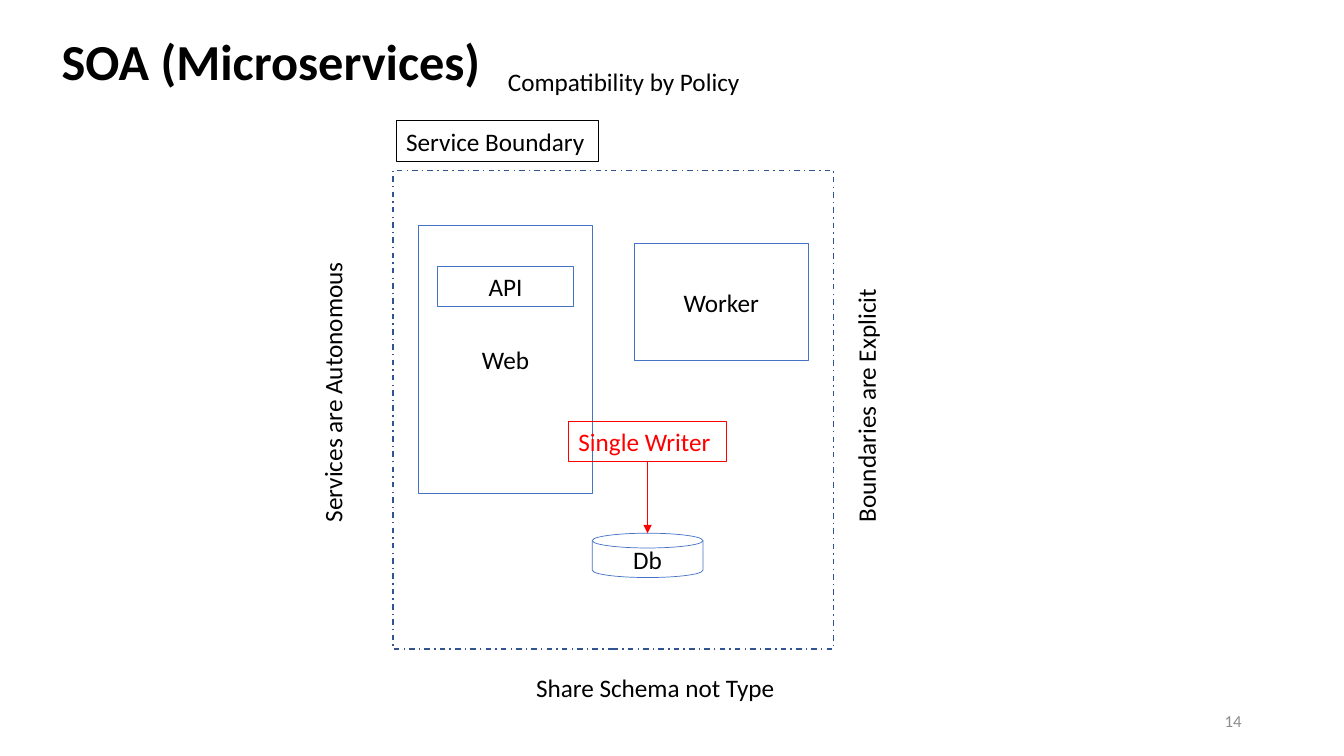
from lxml import etree
from pptx import Presentation
from pptx.dml.color import RGBColor
from pptx.enum import dml, shapes, text
from pptx.oxml.ns import qn
from pptx.util import Pt

BLACK, RED, BLUE, NAVY, GREY = "000000", "FF0000", "4472C4", "325491", "8C8C8C"
LABEL_HEIGHT = 29
LEFT, CENTER, RIGHT = text.PP_ALIGN.LEFT, text.PP_ALIGN.CENTER, text.PP_ALIGN.RIGHT
TOP, MIDDLE = text.MSO_ANCHOR.TOP, text.MSO_ANCHOR.MIDDLE
RECT = shapes.MSO_SHAPE.RECTANGLE


def color(hex_string):
    return RGBColor.from_string(hex_string)


def write(shape, wording, size=18, ink=BLACK, align=LEFT, anchor=TOP, bold=False):
    frame = shape.text_frame
    frame.text = wording
    frame.word_wrap = True
    frame.vertical_anchor = anchor
    paragraph = frame.paragraphs[0]
    paragraph.alignment = align
    font = paragraph.runs[0].font
    font.name, font.size, font.bold = "Calibri", Pt(size), bold
    font.color.rgb = color(ink)


def add_label(slide, left, top, width, wording, height=LABEL_HEIGHT, **style):
    label = slide.shapes.add_textbox(Pt(left), Pt(top), Pt(width), Pt(height))
    write(label, wording, **style)
    return label


def add_outline(slide, left, top, width, height, wording="", kind=RECT,
                line=BLUE, weight=0.5, **style):
    """Add an unfilled, outlined shape with optional text."""
    outline = slide.shapes.add_shape(kind, Pt(left), Pt(top), Pt(width), Pt(height))
    outline.shadow.inherit = False
    outline.fill.background()
    outline.line.color.rgb = color(line)
    outline.line.width = Pt(weight)
    if wording:
        write(outline, wording, **style)
    return outline


def add_arrow(slide, x, top, bottom):
    arrow = slide.shapes.add_connector(
        shapes.MSO_CONNECTOR.STRAIGHT, Pt(x), Pt(top), Pt(x), Pt(bottom))
    arrow.line.color.rgb = color(RED)
    arrow.line.width = Pt(0.5)
    etree.SubElement(arrow.line._get_or_add_ln(), qn("a:tailEnd"), type="triangle")
    etree.SubElement(arrow._element.spPr, qn("a:effectLst"))


def add_service(slide, left, top, width, height):
    """Draw the service boundary and the components inside it."""
    centered = {"align": CENTER, "anchor": MIDDLE}
    part_width = 124.6
    web_left, web_top = left + 18, top + 39.6
    writer_left, writer_top, writer_width = left + 125.3, top + 179.3, 113
    writer_center = writer_left + writer_width / 2
    db_top, db_width = top + 259.2, 79.2

    add_outline(slide, web_left, web_top, part_width, 191.5, "Web", **centered)
    add_outline(slide, web_left + 13.7, web_top + 28.8, 97.2, LABEL_HEIGHT, "API",
                weight=0.75, align=CENTER)
    add_outline(slide, writer_center - db_width / 2, db_top, db_width, 31.7, "Db",
                kind=shapes.MSO_SHAPE.FLOWCHART_MAGNETIC_DISK, **centered)
    boundary = add_outline(slide, left, top, width, height, line=NAVY, weight=1)
    boundary.line.dash_style = dml.MSO_LINE.DASH_DOT
    add_outline(slide, writer_left, writer_top, writer_width, LABEL_HEIGHT,
                "Single Writer", line=RED, weight=0.75, ink=RED)
    add_arrow(slide, writer_center, writer_top + LABEL_HEIGHT, db_top)
    add_outline(slide, left + 172.1, top + 52.5, part_width, 83.5, "Worker", **centered)
    add_outline(slide, left + 2.2, top - 35.3, 144.7, LABEL_HEIGHT, "Service Boundary",
                line=BLACK, weight=0.75)


def add_tenets(slide, left, top, width, height):
    """Place the four service tenets around the boundary."""
    label_width = 190
    add_label(slide, left + 74.9, top - 77.8, label_width, "Compatibility by Policy")
    add_label(slide, left + 95, top + height + 13, label_width, "Share Schema not Type")
    sides = [
        ("Services are Autonomous", left - 43.2, top + 155.5, 206),
        ("Boundaries are Explicit", left + width + 23.1, top + 163.4, label_width),
    ]
    for wording, center_x, center_y, length in sides:
        tenet = add_label(slide, center_x - length / 2, center_y - LABEL_HEIGHT / 2,
                          length, wording)
        tenet.rotation = 270


def build_slide(slide):
    service_box = (280.8, 121.7, 314.6, 342)
    add_service(slide, *service_box)
    add_tenets(slide, *service_box)
    add_label(slide, 31.7, 18, 324, "SOA (Microservices)", height=51,
              size=36, align=CENTER, bold=True)
    add_label(slide, 678, 500.5, 216, "14", size=12, ink=GREY,
              align=RIGHT, anchor=MIDDLE)


def main():
    deck = Presentation()
    deck.slide_width, deck.slide_height = Pt(960), Pt(540)
    build_slide(deck.slides.add_slide(deck.slide_layouts[6]))
    deck.save("out.pptx")


if __name__ == "__main__":
    main()
